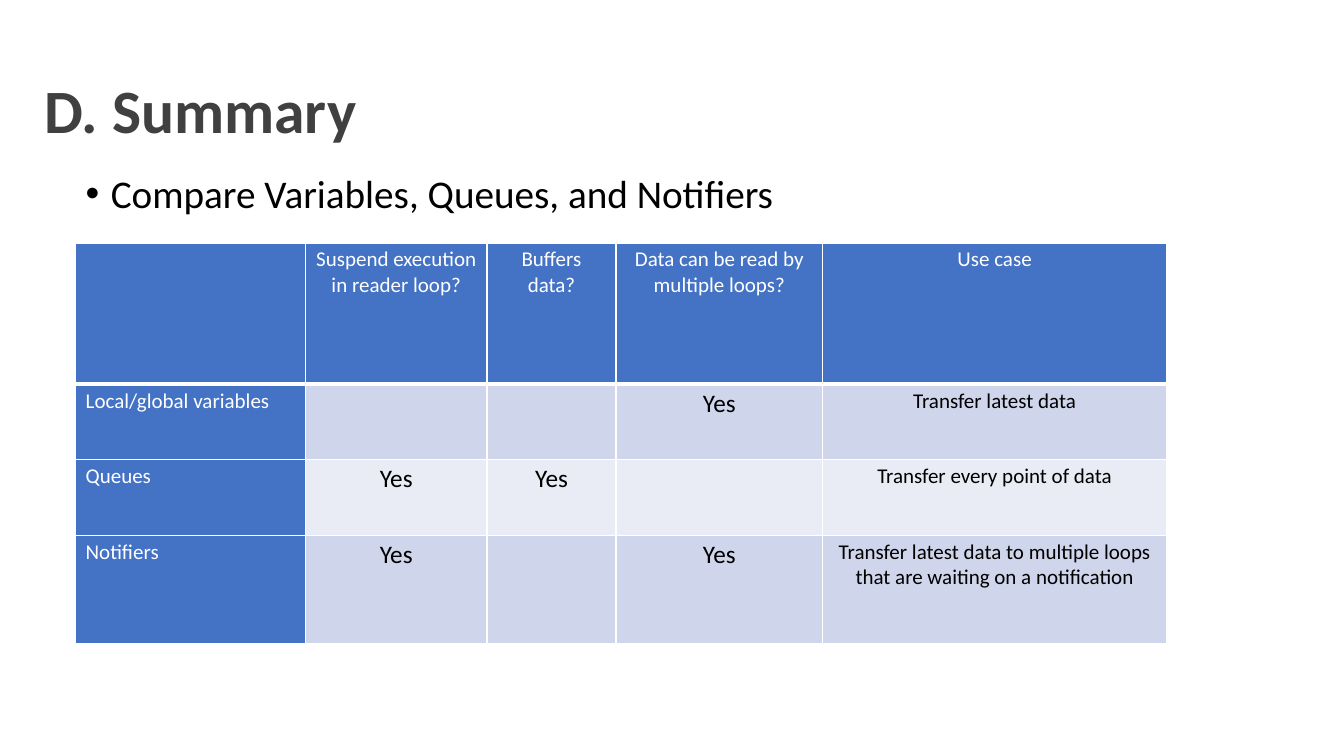
from lxml import etree
from pptx import Presentation
from pptx.dml.color import RGBColor
from pptx.enum.text import MSO_ANCHOR, MSO_AUTO_SIZE, PP_ALIGN
from pptx.oxml.ns import qn
from pptx.util import Inches, Pt

LEFT, CENTER = PP_ALIGN.LEFT, PP_ALIGN.CENTER
MIDDLE, TOP = MSO_ANCHOR.MIDDLE, MSO_ANCHOR.TOP
NO_FIT = MSO_AUTO_SIZE.NONE

FONT = "Calibri"
WHITE, BLACK, GRAY = "FFFFFF", "000000", "404040"
BLUE, BAND_DARK, BAND_LIGHT = "4472C4", "CFD5EA", "E9EBF5"

CONTENT_LEFT = 0.75
TABLE_TOP = 2.41
COLUMNS = [2.28, 1.8, 1.28, 2.05, 3.41]
ROWS = [1.4, 0.75, 0.75, 1.08]
COMPARISON = [
    ["", "Suspend execution in reader loop?", "Buffers data?",
     "Data can be read by multiple loops?", "Use case"],
    ["Local/global variables", "", "", "Yes", "Transfer latest data"],
    ["Queues", "Yes", "Yes", "", "Transfer every point of data"],
    ["Notifiers", "Yes", "", "Yes",
     "Transfer latest data to multiple loops that are waiting on a notification"],
]


def color(value):
    return RGBColor.from_string(value)


def format_paragraph(paragraph, size, text_color, align=LEFT, bold=False):
    paragraph.alignment = align
    for span in paragraph.runs:
        span.font.name = FONT
        span.font.size = Pt(size)
        span.font.bold = bold
        span.font.color.rgb = color(text_color)


def fill_placeholder(box, text, area, anchor):
    box.left, box.top, box.width, box.height = [Inches(length) for length in area]
    frame = box.text_frame
    frame.text = text
    frame.word_wrap = True
    frame.auto_size = NO_FIT
    frame.vertical_anchor = anchor
    paragraph = frame.paragraphs[0]
    paragraph.line_spacing = 0.9
    paragraph.space_before = Pt(0)
    return paragraph


def add_bullet(paragraph, indent):
    properties = paragraph._p.get_or_add_pPr()
    properties.set("marL", str(Inches(indent)))
    properties.set("indent", str(-Inches(indent)))
    etree.SubElement(properties, qn("a:buFont"), typeface="Arial")
    etree.SubElement(properties, qn("a:buChar"), char="•")


def set_borders(cell, bottom_width):
    properties = cell._tc.get_or_add_tcPr()
    for side, width in [("L", 1), ("R", 1), ("T", 1), ("B", bottom_width)]:
        line = etree.SubElement(properties, qn(f"a:ln{side}"), w=str(Pt(width)))
        fill = etree.SubElement(line, qn("a:solidFill"))
        etree.SubElement(fill, qn("a:srgbClr"), val=WHITE)


def format_cell(cell, text, row, column):
    heading = row == 0 or column == 0
    band = BAND_DARK if row % 2 else BAND_LIGHT
    set_borders(cell, 3 if row == 0 else 1)
    cell.fill.solid()
    cell.fill.fore_color.rgb = color(BLUE if heading else band)
    cell.margin_left = cell.margin_right = Inches(0.1)
    cell.margin_top = cell.margin_bottom = Inches(0.04)
    cell.text_frame.text = text
    format_paragraph(cell.text_frame.paragraphs[0],
                     18 if text == "Yes" else 15,
                     WHITE if heading else BLACK,
                     CENTER if column else LEFT)


def add_comparison_table(page):
    table = page.shapes.add_table(
        len(ROWS), len(COLUMNS), Inches(CONTENT_LEFT), Inches(TABLE_TOP),
        Inches(sum(COLUMNS)), Inches(sum(ROWS))).table
    table.first_col = True
    for column, width in zip(table.columns, COLUMNS):
        column.width = Inches(width)
    for row, height in zip(table.rows, ROWS):
        row.height = Inches(height)
    for row, texts in enumerate(COMPARISON):
        for column, text in enumerate(texts):
            format_cell(table.cell(row, column), text, row, column)


def main():
    deck = Presentation()
    deck.slide_width, deck.slide_height = Inches(13.33), Inches(7.5)
    page = deck.slides.add_slide(deck.slide_layouts[1])

    title = fill_placeholder(page.shapes.title, "D. Summary",
                             (0.34, 0.4, 12.6, 1.45), MIDDLE)
    format_paragraph(title, 44, GRAY, bold=True)

    add_comparison_table(page)

    topic = fill_placeholder(page.placeholders[1],
                             "Compare Variables, Queues, and Notifiers",
                             (CONTENT_LEFT, 1.68, 8.58, 0.57), TOP)
    add_bullet(topic, 0.25)
    format_paragraph(topic, 28, BLACK)

    deck.save("out.pptx")


if __name__ == "__main__":
    main()
